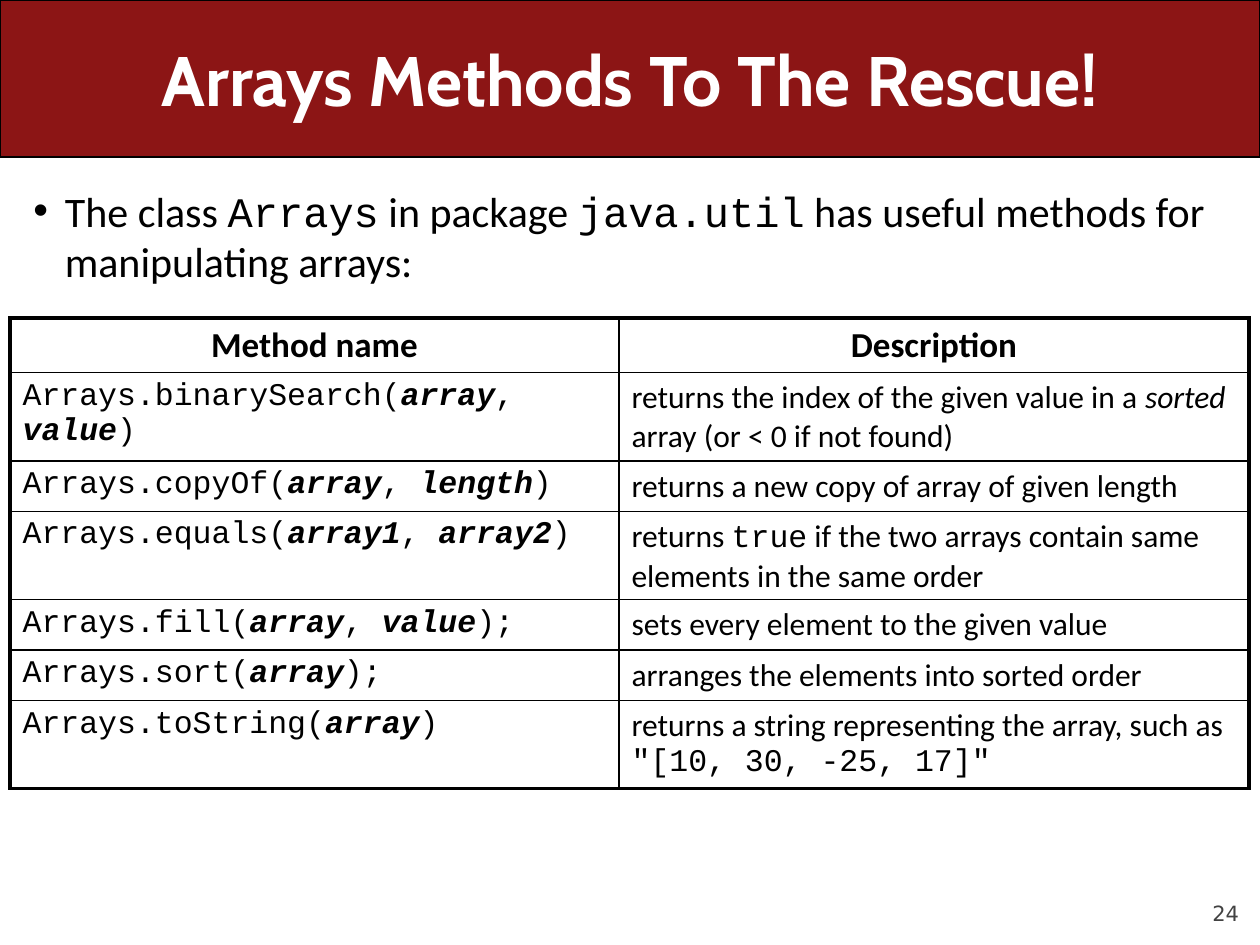
from lxml import etree
from pptx import Presentation
from pptx import util as u
from pptx.dml.color import RGBColor
from pptx.enum import shapes, text
from pptx.oxml import ns

PX = 914400 // 126
RED = RGBColor(0x8C, 0x15, 0x15)
BLACK = RGBColor(0, 0, 0)
WHITE = RGBColor(255, 255, 255)
GREY = RGBColor(0x42, 0x42, 0x42)
SANS, MONO = "Calibri", "Courier New"
PLAIN = {}
CODE = {"font": MONO}
ARGUMENT = {"font": MONO, "bold": True, "italic": True}
ITALIC = {"italic": True}
BOLD = {"bold": True}
THIN, THICK = 1, 2.25

INTRO = [("The class ", PLAIN), ("Arrays", CODE), (" in package ", PLAIN),
         ("java.util", CODE), (" has useful methods for manipulating arrays:", PLAIN)]
COLUMN_WIDTHS = [609, 630]
HEADER_HEIGHT, ONE_LINE, TWO_LINES = 54, 50, 88
METHODS = [
    ("binarySearch", ["array", "value"], ")", TWO_LINES,
     [("returns the index of the given value in a ", PLAIN), ("sorted", ITALIC),
      (" array (or < 0 if not found)", PLAIN)]),
    ("copyOf", ["array", "length"], ")", ONE_LINE,
     [("returns a new copy of array of given length", PLAIN)]),
    ("equals", ["array1", "array2"], ")", TWO_LINES,
     [("returns ", PLAIN), ("true", CODE),
      (" if the two arrays contain same elements in the same order", PLAIN)]),
    ("fill", ["array", "value"], ");", ONE_LINE,
     [("sets every element to the given value", PLAIN)]),
    ("sort", ["array"], ");", ONE_LINE,
     [("arranges the elements into sorted order", PLAIN)]),
    ("toString", ["array"], ")", TWO_LINES,
     [("returns a string representing the array, such as ", PLAIN),
      ('"[10, 30, -25, 17]"', CODE)]),
]


def px(*lengths):
    return [length * PX for length in lengths]


def add_xml(parent, tag, **attributes):
    return etree.SubElement(parent, ns.qn(tag), attributes)


def format_span(span, size, color=BLACK, font=SANS, bold=False, italic=False):
    span.font.size = u.Pt(size)
    span.font.name = font
    span.font.color.rgb = color
    span.font.bold = bold
    span.font.italic = italic


def write_spans(para, spans, size):
    properties = para._p.get_or_add_pPr()
    add_xml(add_xml(properties, "a:spcBef"), "a:spcPct", val="20000")
    for words, style in spans:
        span = para.add_run()
        span.text = words
        format_span(span, size, **style)


def add_banner(page):
    banner = page.shapes.add_shape(shapes.MSO_SHAPE.ROUNDED_RECTANGLE, *px(0, 0, 1260, 157))
    banner.adjustments[0] = 0
    banner.shadow.inherit = False
    banner.fill.solid()
    banner.fill.fore_color.rgb = RED
    banner.line.color.rgb = BLACK
    banner.line.width = u.Pt(0.75)
    page.shapes.title._element.addprevious(banner._element)


def set_title(page, words):
    title = page.shapes.title
    title.left, title.top, title.width, title.height = px(63, 0, 1134, 157)
    frame = title.text_frame
    frame.text = words
    frame.vertical_anchor = text.MSO_ANCHOR.MIDDLE
    para = frame.paragraphs[0]
    para.alignment = text.PP_ALIGN.CENTER
    format_span(para.runs[0], 40, WHITE, "Cabin", bold=True)


def add_bullet_text(page, spans):
    box = page.shapes.add_textbox(*px(21, 179, 1218, 714))
    box.text_frame.word_wrap = True
    para = box.text_frame.paragraphs[0]
    write_spans(para, spans, 24)
    properties = para._p.get_or_add_pPr()
    properties.set("marL", "228600")
    properties.set("indent", "-228600")
    add_xml(properties, "a:buFont", typeface="Arial")
    add_xml(properties, "a:buChar", char="•")


def set_borders(cell, widths):
    properties = cell._tc.get_or_add_tcPr()
    for side, width in zip("LRTB", widths):
        line = add_xml(properties, f"a:ln{side}", w=str(u.Pt(width)))
        add_xml(add_xml(line, "a:solidFill"), "a:srgbClr", val=str(BLACK))


def method_spans(name, arguments, ending):
    spans = [(f"Arrays.{name}(", CODE)]
    for index, argument in enumerate(arguments):
        if index:
            spans.append((", ", CODE))
        spans.append((argument, ARGUMENT))
    return spans + [(ending, CODE)]


def add_method_table(page):
    rows = [[[("Method name", BOLD)], [("Description", BOLD)]]]
    heights = [HEADER_HEIGHT]
    for name, arguments, ending, height, description in METHODS:
        rows.append([method_spans(name, arguments, ending), description])
        heights.append(height)
    frame = page.shapes.add_table(len(rows), len(COLUMN_WIDTHS),
                                  *px(10, 318, sum(COLUMN_WIDTHS), sum(heights)))
    table = frame.table
    for column, width in zip(table.columns, px(*COLUMN_WIDTHS)):
        column.width = width
    for row, height in zip(table.rows, px(*heights)):
        row.height = height
    last_row, last_column = len(rows) - 1, len(COLUMN_WIDTHS) - 1
    for r, row in enumerate(rows):
        for c, spans in enumerate(row):
            cell = table.cell(r, c)
            outer = [c == 0, c == last_column, r == 0, r == last_row]
            set_borders(cell, [THICK if edge else THIN for edge in outer])
            cell.fill.solid()
            cell.fill.fore_color.rgb = WHITE
            para = cell.text_frame.paragraphs[0]
            write_spans(para, spans, 18 if r else 20)
            if r == 0:
                para.alignment = text.PP_ALIGN.CENTER


def add_page_number(page, number):
    box = page.shapes.add_textbox(*px(1134, 876, 105, 50))
    frame = box.text_frame
    frame.margin_left = frame.margin_right = frame.margin_top = frame.margin_bottom = 0
    frame.word_wrap = True
    frame.vertical_anchor = text.MSO_ANCHOR.BOTTOM
    frame.text = number
    para = frame.paragraphs[0]
    para.alignment = text.PP_ALIGN.RIGHT
    format_span(para.runs[0], 12, GREY, "DejaVu Sans")


def main():
    deck = Presentation()
    deck.slide_width, deck.slide_height = px(1260, 945)
    page = deck.slides.add_slide(deck.slide_layouts[5])
    add_banner(page)
    set_title(page, "Arrays Methods To The Rescue!")
    add_bullet_text(page, INTRO)
    add_method_table(page)
    add_page_number(page, "24")
    deck.save("out.pptx")


if __name__ == "__main__":
    main()
